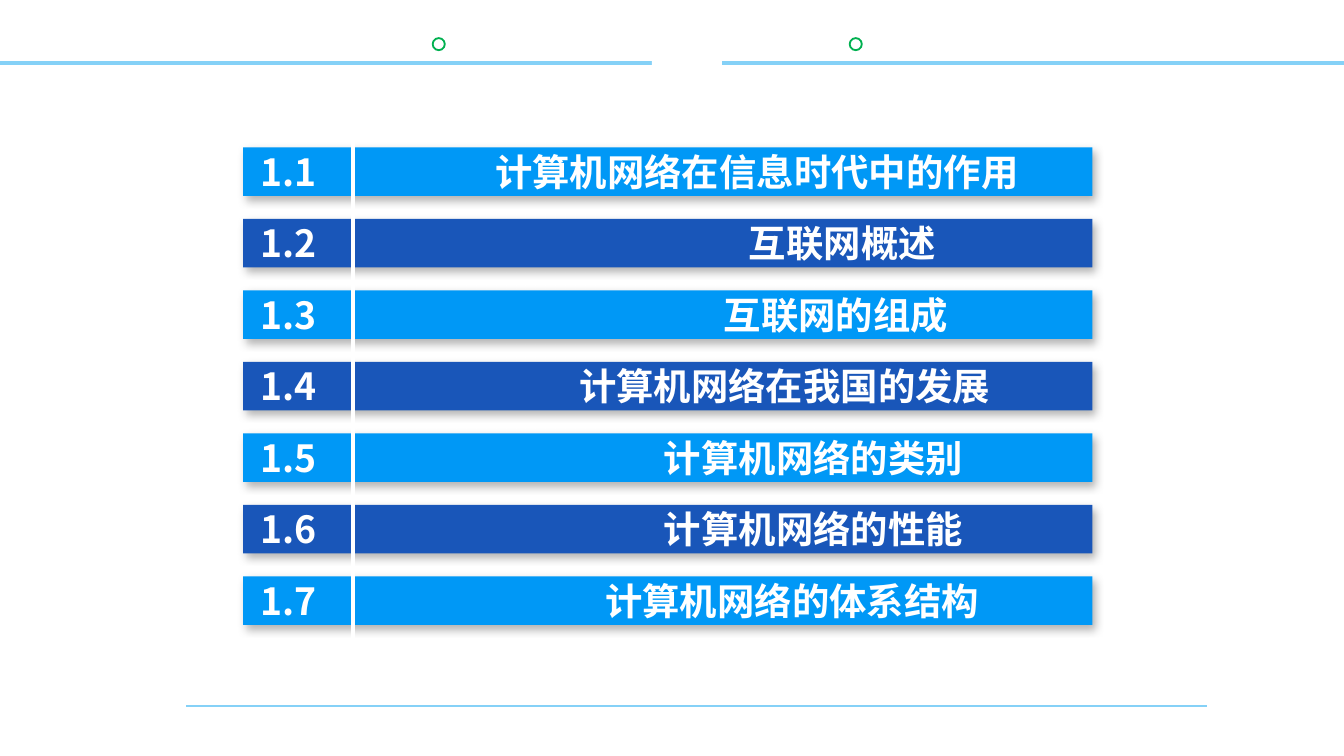
import dataclasses

import pptx
import pptx.dml.color
import pptx.enum.shapes
import pptx.enum.text
import pptx.oxml
import pptx.oxml.ns
import pptx.util

Pt = pptx.util.Pt
Shapes = pptx.enum.shapes.MSO_SHAPE


@dataclasses.dataclass(frozen=True)
class Theme:
    white: str = "FFFFFF"
    light_blue: str = "0098F6"
    dark_blue: str = "1956B9"
    rule: str = "85D1F7"
    ring: str = "00B050"
    shadow: str = "000000"
    font: str = "Noto Sans CJK SC"
    text_size: float = 20


def color(value):
    return pptx.dml.color.RGBColor.from_string(value)


def add_xml(parent, xml):
    namespaces = pptx.oxml.ns.nsdecls("a")
    parent.append(pptx.oxml.parse_xml(xml.replace(" ", f" {namespaces} ", 1)))


def apply_format(target, values):
    for name, value in values.items():
        setattr(target, name, value)


class SlideBuilder:
    def __init__(self, slide, theme):
        self.slide = slide
        self.theme = theme

    def shape(self, kind, left, top, width, height, fill, line=None, shadow=False):
        shape = self.slide.shapes.add_shape(kind, Pt(left), Pt(top), Pt(width), Pt(height))
        shape.shadow.inherit = False
        shape.fill.solid()
        shape.fill.fore_color.rgb = color(fill)
        if line:
            shape.line.color.rgb = color(line)
            shape.line.width = Pt(1)
        else:
            shape.line.fill.background()
        if shadow:
            effects = shape.element.spPr.find(pptx.oxml.ns.qn("a:effectLst"))
            add_xml(effects, '<a:outerShdw blurRad="57150" dist="33020" dir="3180000" '
                             'algn="ctr" rotWithShape="0">'
                             f'<a:srgbClr val="{self.theme.shadow}"><a:alpha val="30000"/>'
                             '</a:srgbClr></a:outerShdw>')

    def line(self, start, end, stroke, width):
        connector = self.slide.shapes.add_connector(
            pptx.enum.shapes.MSO_CONNECTOR.STRAIGHT, *map(Pt, start + end))
        connector.line.color.rgb = color(stroke)
        connector.line.width = Pt(width)
        add_xml(connector.element.spPr, '<a:effectLst />')

    def contents(self, left, top, width, height, entries, gap):
        body = self.slide.placeholders[1]
        body.element.getparent().append(body.element)
        apply_format(body, {"left": Pt(left), "top": Pt(top),
                            "width": Pt(width), "height": Pt(height)})
        frame = body.text_frame
        apply_format(frame, {
            "word_wrap": True,
            "auto_size": pptx.enum.text.MSO_AUTO_SIZE.NONE,
            "vertical_anchor": pptx.enum.text.MSO_ANCHOR.TOP,
        })
        for index, (title, indent) in enumerate(entries):
            paragraph = frame.paragraphs[0] if index == 0 else frame.add_paragraph()
            properties = paragraph._p.get_or_add_pPr()
            properties.set("marL", str(Pt(indent)))
            properties.set("indent", str(-Pt(indent)))
            add_xml(properties, '<a:buNone />')
            paragraph.space_before = Pt(gap if index else 0)
            run = paragraph.add_run()
            run.text = f"1.{index + 1}\t{title}"
            apply_format(run.font, {"name": self.theme.font,
                                    "size": Pt(self.theme.text_size), "bold": True})
            run.font.color.rgb = color(self.theme.white)
            add_xml(run._r.get_or_add_rPr(), f'<a:ea typeface="{self.theme.font}"/>')


def main():
    presentation = pptx.Presentation()
    presentation.slide_width = Pt(720)
    presentation.slide_height = Pt(405)
    slide = presentation.slides.add_slide(presentation.slide_layouts[1])
    title = slide.shapes.title.element
    title.getparent().remove(title)
    theme = Theme()
    builder = SlideBuilder(slide, theme)

    for left in (231.8, 455.2):
        builder.shape(Shapes.OVAL, left, 20.4, 6.5, 6.5, theme.white, line=theme.ring)
    builder.line((99.8, 378.2), (646.5, 378.2), theme.rule, 1.5)
    builder.line((0, 33.8), (720, 33.8), theme.rule, 2)
    builder.shape(Shapes.RECTANGLE, 349.2, 10, 37.5, 36.7, theme.white)

    entries = [
        ("计算机网络在信息时代中的作用", 125.5),
        ("互联网概述", 261.5),
        ("互联网的组成", 248),
        ("计算机网络在我国的发展", 170.5),
        ("计算机网络的类别", 216),
        ("计算机网络的性能", 216),
        ("计算机网络的体系结构", 184.5),
    ]
    bar_fills = (theme.light_blue, theme.dark_blue)
    for index in range(len(entries)):
        builder.shape(Shapes.RECTANGLE, 130.2, 79 + 38.3 * index, 455, 26,
                      bar_fills[index % 2], shadow=True)
    builder.line((189.2, 65), (189.2, 373), theme.white, 2.25)
    builder.contents(132.5, 76.2, 455, 268, entries, gap=14.3)

    presentation.save("out.pptx")


if __name__ == "__main__":
    main()
